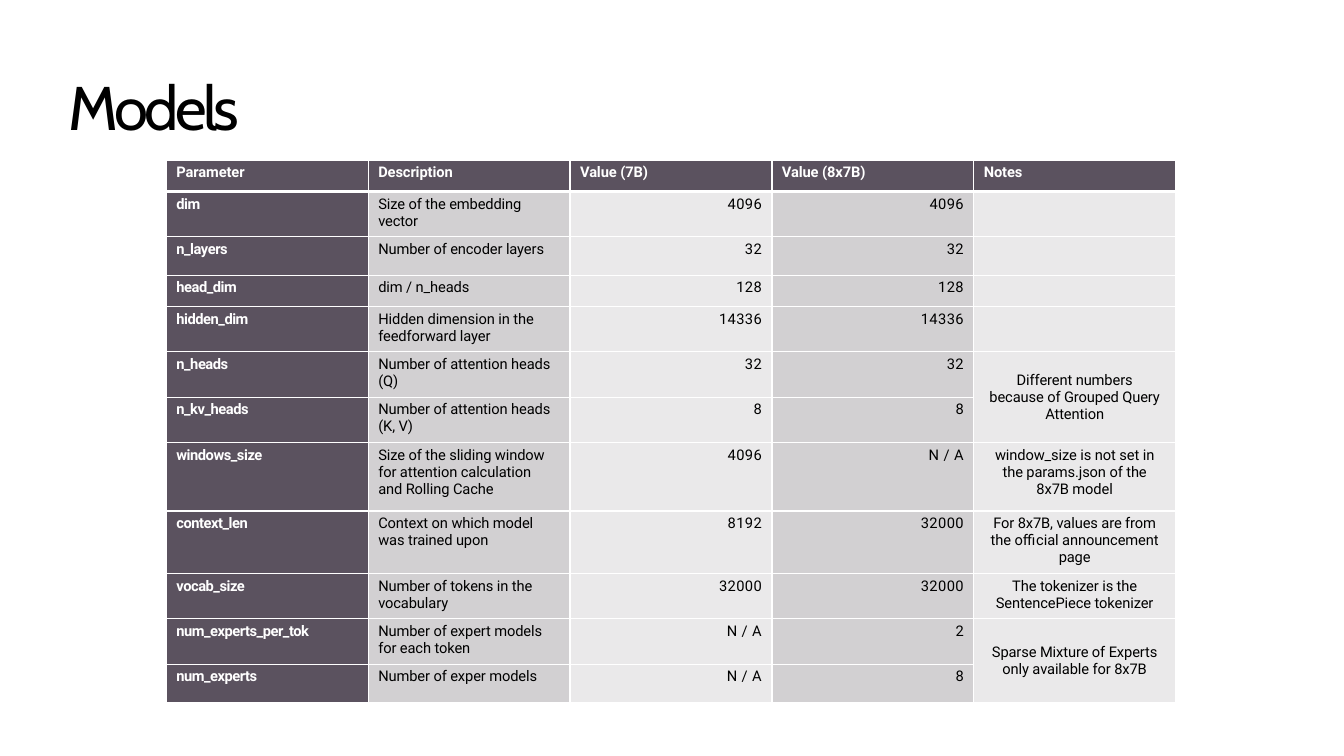
from lxml import etree
from pptx import Presentation
from pptx.dml.color import RGBColor
from pptx.enum import text as t
from pptx.oxml.ns import qn
from pptx.util import Inches, Pt

DARK, MID, PALE = "5B525F", "D2D0D2", "EAE9EA"
WHITE, BLACK = "FFFFFF", "000000"
LEFT, MIDDLE, RIGHT = t.PP_ALIGN.LEFT, t.PP_ALIGN.CENTER, t.PP_ALIGN.RIGHT

# Each column: fill, alignment, left margin, right margin, letter spacing
COLS = [
    (DARK, LEFT, 0.1, 0, -0.3),
    (MID, LEFT, 0.1, 0.12, -0.05),
    (PALE, RIGHT, 0, 0.1, 0.3),
    (MID, RIGHT, 0, 0.1, 0.3),
    (PALE, MIDDLE, 0.14, 0.14, -0.05),
]
HEAD = ("Parameter", "Description", "Value (7B)", "Value (8x7B)", "Notes")

# Each row: height, then the five cells
ROWS = [
    (0.31, *HEAD),
    (0.45, "dim", "Size of the embedding vector", "4096", "4096", ""),
    (0.38, "n_layers", "Number of encoder layers", "32", "32", ""),
    (0.31, "head_dim", "dim / n_heads", "128", "128", ""),
    (0.45, "hidden_dim", "Hidden dimension in the feedforward layer",
     "14336", "14336", ""),
    (0.45, "n_heads", "Number of attention heads (Q)", "32", "32",
     "Different numbers because of Grouped Query Attention"),
    (0.45, "n_kv_heads", "Number of attention heads (K, V)", "8", "8", ""),
    (0.68, "windows_size",
     "Size of the sliding window for attention calculation and Rolling Cache",
     "4096", "N / A",
     "window_size is not set in the params.json of the 8x7B model"),
    (0.62, "context_len", "Context on which model was trained upon",
     "8192", "32000",
     "For 8x7B, values are from the official announcement page"),
    (0.45, "vocab_size", "Number of tokens in the vocabulary",
     "32000", "32000", "The tokenizer is the SentencePiece tokenizer"),
    (0.45, "num_experts_per_tok", "Number of expert models for each token",
     "N / A", "2", "Sparse Mixture of Experts only available for 8x7B"),
    (0.38, "num_experts", "Number of exper models", "N / A", "8", ""),
]
SPANS = (5, 10)  # rows whose note covers the next row too


def color(hex):
    return RGBColor.from_string(hex)


def style(run, font, size, hue, space, bold=False):
    run.font.name, run.font.size, run.font.bold = font, Pt(size), bold
    run.font.color.rgb = color(hue)
    run._r.get_or_add_rPr().set("spc", str(round(space * 100)))


def edge(cell, side, width):
    line = etree.SubElement(cell._tc.get_or_add_tcPr(), qn("a:ln" + side),
                            w=str(Pt(width)))
    fill = etree.SubElement(line, qn("a:solidFill"))
    etree.SubElement(fill, qn("a:srgbClr"), val=WHITE)


def add_title(slide, x, y, w, h):
    title = slide.shapes.title
    title.left, title.top, title.width, title.height = map(Inches, (x, y, w, h))
    frame = title.text_frame
    frame.text = "Models"
    frame.word_wrap = False
    frame.vertical_anchor = t.MSO_ANCHOR.TOP
    frame.margin_left = frame.margin_right = frame.margin_bottom = 0
    frame.margin_top = Inches(0.01)
    para = frame.paragraphs[0]
    para.alignment = LEFT
    style(para.runs[0], "Cabin", 44, BLACK, -2.6)


def fill_cell(cell, words, row, col):
    fill, align, left, right, space = COLS[col]
    head = row == 0
    if head:
        fill, align, left, right, space = DARK, LEFT, 0.1, 0, -0.05
    # Borders, with a heavy rule under the header
    for side in "LRTB":
        heavy = (row, side) in ((0, "B"), (1, "T"))
        edge(cell, side, 3 if heavy else 1)
    cell.fill.solid()
    cell.fill.fore_color.rgb = color(fill)
    cell.margin_left, cell.margin_right = Inches(left), Inches(right)
    cell.margin_top, cell.margin_bottom = Inches(0.04), 0
    # Text
    cell.text = words
    para = cell.text_frame.paragraphs[0]
    para.alignment = align
    para.space_before = Pt(3.1)
    para._p.get_or_add_endParaRPr().set("sz", "1050")
    bold = fill == DARK
    for run in para.runs:
        style(run, "Roboto", 10.5, WHITE if bold else BLACK, space, bold)


def add_grid(slide, x, y, w):
    high = sum(row[0] for row in ROWS)
    grid = slide.shapes.add_table(len(ROWS), len(COLS), Inches(x), Inches(y),
                                  Inches(w), Inches(high)).table
    for col in grid.columns:
        col.width = Inches(w / len(COLS))
    for r, (tall, *cells) in enumerate(ROWS):
        grid.rows[r].height = Inches(tall)
        for c, words in enumerate(cells):
            fill_cell(grid.cell(r, c), words, r, c)
    # Notes shared by two rows
    for r in SPANS:
        note = grid.cell(r, 4)
        note.merge(grid.cell(r + 1, 4))
        note.vertical_anchor = t.MSO_ANCHOR.MIDDLE
        note.margin_top = 0
        note.text_frame.paragraphs[0].space_before = 0


def main():
    deck = Presentation()
    deck.slide_width, deck.slide_height = Inches(13.33), Inches(7.5)
    slide = deck.slides.add_slide(deck.slide_layouts[5])
    add_title(slide, 0.68, 0.67, 1.79, 0.76)
    add_grid(slide, 1.65, 1.59, 10.01)
    deck.save("out.pptx")


if __name__ == "__main__":
    main()
